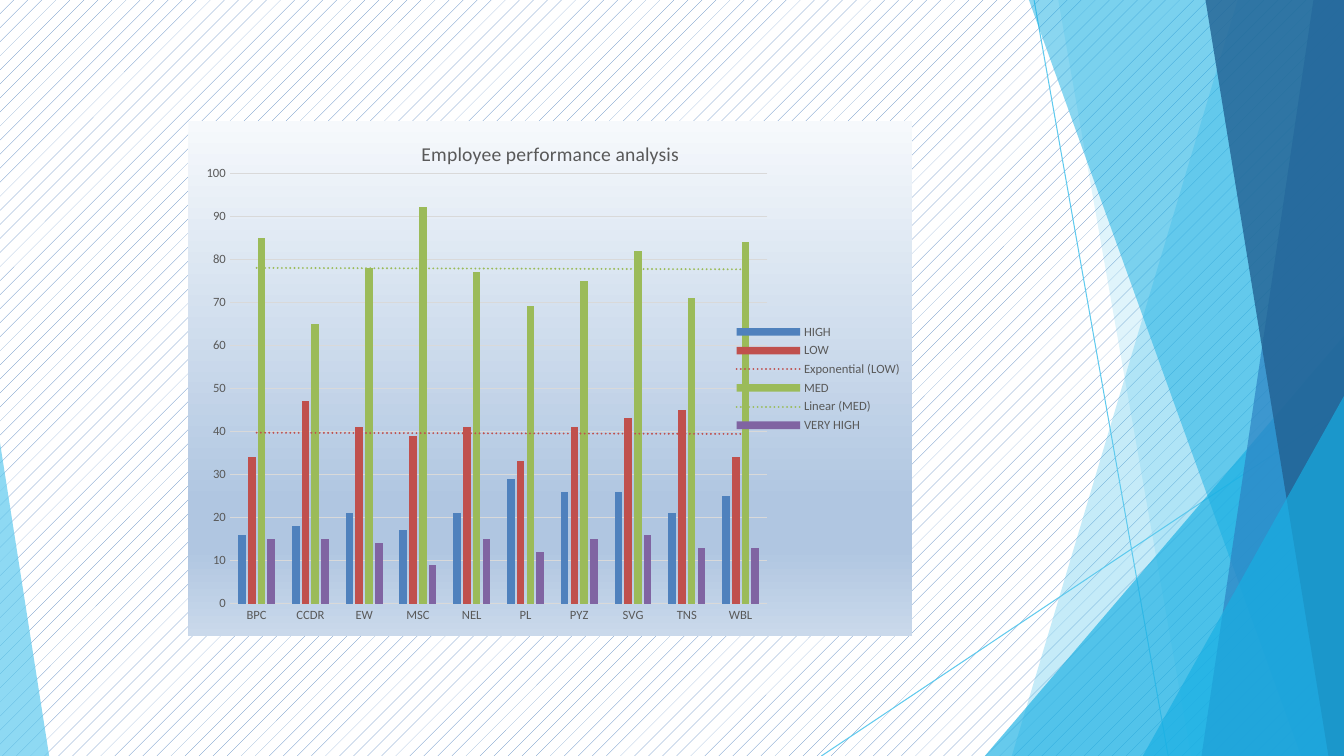
from lxml import etree
from pptx import Presentation
from pptx.chart.data import CategoryChartData
from pptx.dml.color import RGBColor
from pptx.enum.chart import XL_CHART_TYPE, XL_LEGEND_POSITION, XL_TICK_MARK
from pptx.enum.dml import MSO_PATTERN
from pptx.enum.shapes import MSO_CONNECTOR
from pptx.oxml import parse_xml
from pptx.oxml.ns import nsdecls, qn
from pptx.util import Cm, Pt

WIDTH, HEIGHT = 33.87, 19.05
FONT = "Calibri"
COLORS = {
    "sky": "5FCAEE", "cyan": "17AFE3", "blue": "2D83C3", "navy": "226192",
    "white": "FFFFFF", "black": "000000", "text": "595959", "grid": "D9D9D9",
    "high": "4F81BD", "low": "C0504D", "med": "9BBB59", "very_high": "8064A2",
    "pale": "F6F9FC", "steel": "B0C6E1", "mist": "CAD9EB",
}
GRADIENT = [(0, "pale"), (74, "steel"), (83, "steel"), (100, "mist")]
RIGHT_PANELS = [
    (31.19, 0, 25.5, "sky", 36),
    (26.67, 0, 30.02, "sky", 20),
    (WIDTH, 8.46, 24.82, "cyan", 66),
    (25.93, 0, 32.79, "cyan", 50),
    (33.1, 0, 30.28, "blue", 70),
    (30.38, 0, 33.48, "navy", 80),
    (WIDTH, 9.98, 28.8, "cyan", 66),
]
RAYS = [(26.06, 0, 29.44, HEIGHT), (WIDTH, 10.26, 20.7, HEIGHT)]
CATEGORIES = ["BPC", "CCDR", "EW", "MSC", "NEL", "PL", "PYZ", "SVG", "TNS", "WBL"]
SERIES = [
    ("HIGH", "high", None, [16, 18, 21, 17, 21, 29, 26, 26, 21, 25]),
    ("LOW", "low", "exp", [34, 47, 41, 39, 41, 33, 41, 43, 45, 34]),
    ("MED", "med", "linear", [85, 65, 78, 92, 77, 69, 75, 82, 71, 84]),
    ("VERY HIGH", "very_high", None, [15, 15, 14, 9, 15, 12, 15, 16, 13, 13]),
]


def rgb(name):
    """Return the named colour."""
    return RGBColor.from_string(COLORS[name])


def style_font(font, size, color):
    """Apply the slide's typeface with a size and colour."""
    font.name, font.size, font.bold = FONT, Pt(size), False
    font.color.rgb = rgb(color)


def add_panel(slide, points, color, opacity):
    """Draw a translucent polygon through points given in centimetres."""
    corners = [(Cm(x), Cm(y)) for x, y in points]
    builder = slide.shapes.build_freeform(*corners[0])
    builder.add_line_segments(corners[1:])
    shape = builder.convert_to_shape()
    shape.shadow.inherit = False
    shape.line.fill.background()
    shape.fill.solid()
    shape.fill.fore_color.rgb = rgb(color)
    tint = next(shape._element.iter(qn("a:srgbClr")))
    etree.SubElement(tint, qn("a:alpha")).set("val", str(opacity * 1000))


def add_decoration(slide, width, height):
    """Draw the pattern, rays and facets over the slide area."""
    fill = slide.background.fill
    fill.patterned()
    fill.pattern = MSO_PATTERN.PERCENT_5
    fill.fore_color.rgb = rgb("high")
    fill.back_color.rgb = rgb("white")
    for ray in RAYS:
        line = slide.shapes.add_connector(MSO_CONNECTOR.STRAIGHT, *map(Cm, ray))
        line.line.color.rgb = rgb("sky")
        line.line.width = Pt(0.75)
        etree.SubElement(line._element.spPr, qn("a:effectLst"))
    for top_x, top_y, bottom_x, color, opacity in RIGHT_PANELS:
        points = [(width, top_y), (top_x, top_y), (bottom_x, height), (width, height)]
        add_panel(slide, points, color, opacity)
    add_panel(slide, [(0, 11.15), (0, height), (1.24, height)], "sky", 70)


def add_trend(series, kind, color):
    """Add a dotted trend line to a series."""
    trend = parse_xml(
        f'<c:trendline {nsdecls("c", "a")}><c:spPr><a:ln w="19050" cap="rnd">'
        f'<a:solidFill><a:srgbClr val="{COLORS[color]}"/></a:solidFill>'
        '<a:prstDash val="sysDot"/></a:ln></c:spPr>'
        f'<c:trendlineType val="{kind}"/><c:dispRSqr val="0"/><c:dispEq val="0"/>'
        '</c:trendline>')
    series._element.find(qn("c:cat")).addprevious(trend)


def style_frame(chart):
    """Give the chart its gradient backdrop and fixed plot area."""
    stops = "".join(f'<a:gs pos="{position * 1000}"><a:srgbClr val="{COLORS[color]}"/></a:gs>'
                    for position, color in GRADIENT)
    space = chart._chartSpace
    space.find(qn("c:chart")).addnext(parse_xml(
        f'<c:spPr {nsdecls("c", "a")}><a:gradFill><a:gsLst>{stops}</a:gsLst>'
        '<a:lin ang="5400000" scaled="0"/></a:gradFill><a:ln><a:noFill/></a:ln></c:spPr>'))
    plot_area = next(space.iter(qn("c:plotArea")))
    for layout in plot_area.findall(qn("c:layout")):
        plot_area.remove(layout)
    layout = etree.Element(qn("c:layout"))
    manual = etree.SubElement(layout, qn("c:manualLayout"))
    settings = [("layoutTarget", "inner"), ("xMode", "edge"), ("yMode", "edge"),
                ("x", "0.057"), ("y", "0.101"), ("w", "0.743"), ("h", "0.836")]
    for tag, value in settings:
        etree.SubElement(manual, qn(f"c:{tag}")).set("val", value)
    plot_area.insert(0, layout)


def add_performance_chart(slide, left, top, width, height):
    """Place the column chart with its trend lines in the given box."""
    data = CategoryChartData()
    data.categories = CATEGORIES
    for name, _, _, values in SERIES:
        data.add_series(name, values)
    chart = slide.shapes.add_chart(XL_CHART_TYPE.COLUMN_CLUSTERED, Cm(left), Cm(top),
                                   Cm(width), Cm(height), data).chart
    style_font(chart.font, 10, "black")
    style_frame(chart)

    chart.has_title = True
    title = chart.chart_title.text_frame
    title.text = "Employee performance analysis"
    style_font(title.paragraphs[0].font, 14, "text")
    chart.has_legend = True
    chart.legend.position = XL_LEGEND_POSITION.RIGHT
    chart.legend.include_in_layout = False
    style_font(chart.legend.font, 9, "text")

    for axis in (chart.category_axis, chart.value_axis):
        axis.major_tick_mark = axis.minor_tick_mark = XL_TICK_MARK.NONE
        style_font(axis.tick_labels.font, 9, "text")
    values_axis = chart.value_axis
    values_axis.minimum_scale, values_axis.maximum_scale = 0, 100
    values_axis.major_unit = 10
    values_axis.format.line.fill.background()
    for line in (chart.category_axis.format.line, values_axis.major_gridlines.format.line):
        line.color.rgb = rgb("grid")
        line.width = Pt(0.75)

    plot = chart.plots[0]
    plot.gap_width, plot.overlap, plot.vary_by_categories = 219, -27, False
    for series, (_, color, trend, _) in zip(plot.series, SERIES):
        series.format.fill.solid()
        series.format.fill.fore_color.rgb = rgb(color)
        if trend:
            add_trend(series, trend, color)


def main():
    """Build and save the presentation."""
    presentation = Presentation()
    presentation.slide_width, presentation.slide_height = Cm(WIDTH), Cm(HEIGHT)
    slide = presentation.slides.add_slide(presentation.slide_layouts[6])
    add_decoration(slide, WIDTH, HEIGHT)
    add_performance_chart(slide, 4.75, 3.05, 18.24, 12.98)
    presentation.save("out.pptx")


if __name__ == "__main__":
    main()
